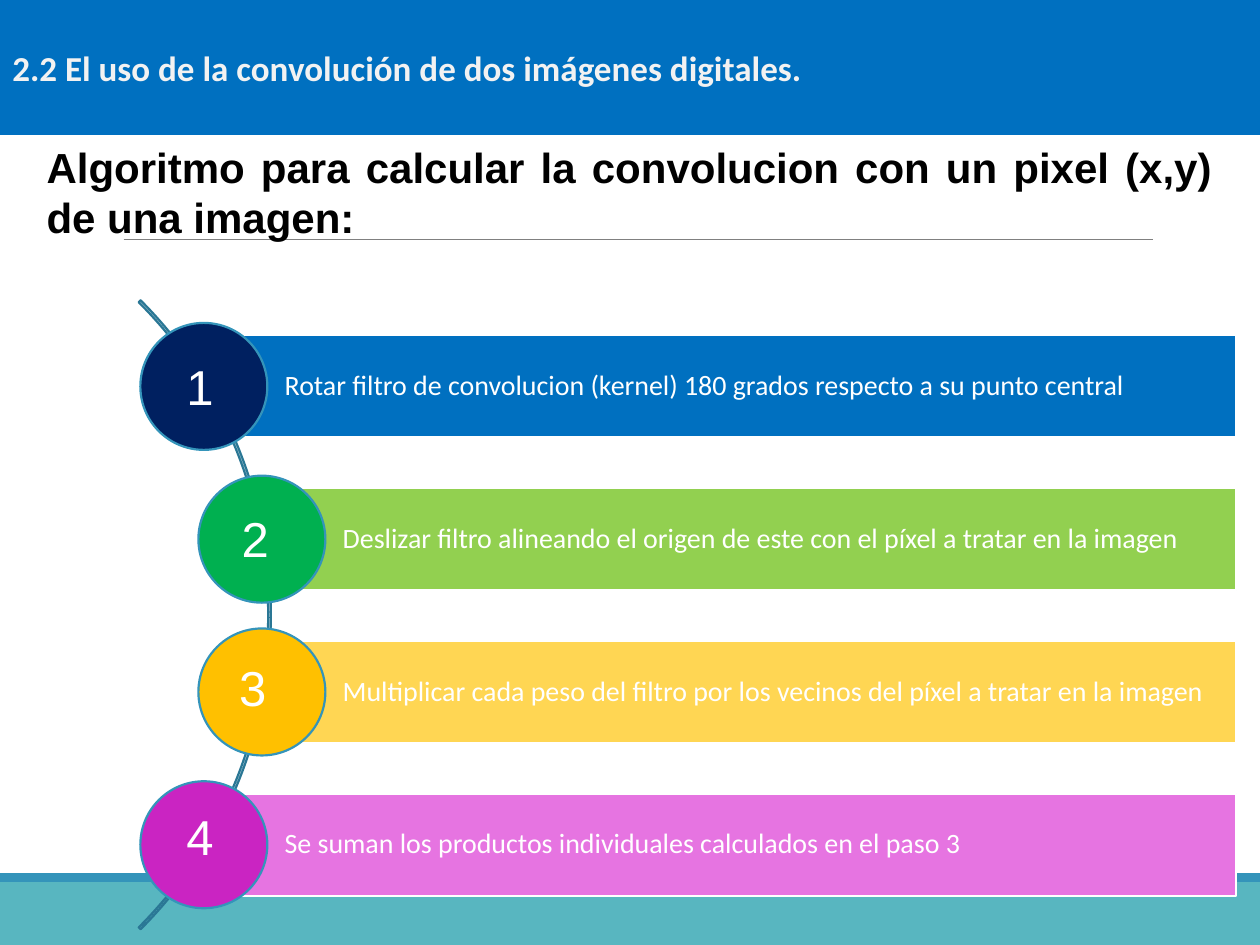
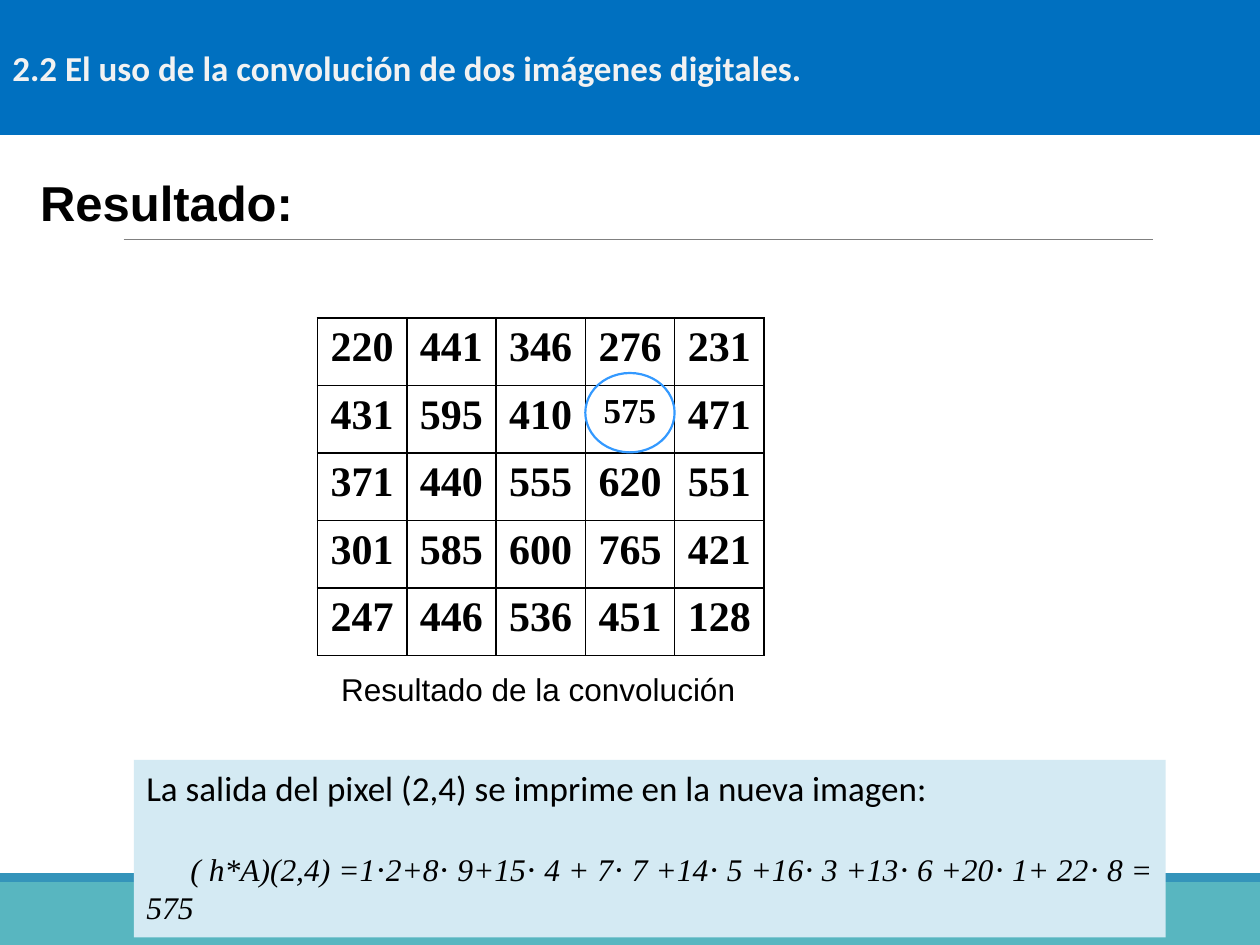
"""Builds two slides about the convolution of digital images."""
import lxml.etree
import pptx
import pptx.dml.color
import pptx.enum.shapes
import pptx.enum.text
import pptx.oxml.ns
import pptx.util

Cm = pptx.util.Cm
Pt = pptx.util.Pt
SHAPES = pptx.enum.shapes.MSO_SHAPE
ALIGN = pptx.enum.text.PP_ALIGN
ANCHOR = pptx.enum.text.MSO_ANCHOR

SECTION = "2.2 El uso de la convolución de dos imágenes digitales."
STEPS_TITLE = "Algoritmo para calcular la convolucion con un pixel (x,y) de una imagen:"
RESULT_TITLE = "Resultado:"
STEPS = [
    {"text": "Rotar filtro de convolucion (kernel) 180 grados respecto a su punto central",
     "bar": "0070C0", "circle": "002060", "centre": 4.11, "number": (3.51, 7.06)},
    {"text": "Deslizar filtro alineando el origen de este con el píxel a tratar en la imagen",
     "bar": "92D050", "circle": "00B050", "centre": 5.28, "number": (4.62, 10.13)},
    {"text": "Multiplicar cada peso del filtro por los vecinos del píxel a tratar en la imagen",
     "bar": "FFD653", "circle": "FFC000", "centre": 5.28, "number": (4.57, 13.13)},
    {"text": "Se suman los productos individuales calculados en el paso 3",
     "bar": "E674E1", "circle": "CA24C2", "centre": 4.11, "number": (3.51, 16.13)},
]
RESULT = [
    [220, 441, 346, 276, 231],
    [431, 595, 410, 575, 471],
    [371, 440, 555, 620, 551],
    [301, 585, 600, 765, 421],
    [247, 446, 536, 451, 128],
]
MARKED = (1, 3)
CAPTION = "Resultado de la convolución"
OUTPUT = "La salida del pixel (2,4) se imprime en la nueva imagen:"
FORMULA = "( h*A)(2,4) =1⋅2+8⋅ 9+15⋅ 4 + 7⋅ 7 +14⋅ 5 +16⋅ 3 +13⋅ 6 +20⋅ 1+ 22⋅ 8 = 575"

WIDTH, HEIGHT = 25.4, 19.05
BAND, FLOOR, STRIPE = "0070C0", "58B6C0", "3494BA"
BLACK, WHITE = "000000", "FFFFFF"
SECTION_FONT = {"name": "Calibri", "size": Pt(20), "bold": True, "color": "F2F2F2"}
STEP_FONT = {"name": "Calibri", "size": Pt(16), "color": WHITE}
NUMBER_FONT = {"name": "Arial", "size": Pt(28), "color": WHITE}
CELL_FONT = {"name": "Times New Roman", "size": Pt(24), "bold": True, "color": BLACK}
CAPTION_FONT = {"name": "Arial", "size": Pt(18), "color": BLACK}
OUTPUT_FONT = {"name": "Calibri", "size": Pt(20), "color": BLACK}
FORMULA_FONT = {"name": "Times New Roman", "size": Pt(18), "italic": True, "color": BLACK}


def rgb(value):
    return pptx.dml.color.RGBColor.from_string(value)


def set_all(target, values):
    for name, value in values.items():
        setattr(target, name, value)


def write(para, text, font, **layout):
    span = para.add_run()
    span.text = text
    set_all(para, layout)
    set_all(span.font, {key: value for key, value in font.items() if key != "color"})
    span.font.color.rgb = rgb(font["color"])


def add_shape(page, kind, place, fill=None, line=None):
    shape = page.shapes.add_shape(kind, *map(Cm, place))
    shape.shadow.inherit = False
    if fill:
        shape.fill.solid()
        shape.fill.fore_color.rgb = rgb(fill)
    else:
        shape.fill.background()
    if line:
        shape.line.color.rgb = rgb(line)
        shape.line.width = Pt(1.25)
    else:
        shape.line.fill.background()
    return shape


def add_text(page, place, text, font, wrap=True, **layout):
    box = page.shapes.add_textbox(*map(Cm, place))
    box.text_frame.word_wrap = wrap
    write(box.text_frame.paragraphs[0], text, font, **layout)


def add_page(deck, title, place, size):
    page = deck.slides.add_slide(deck.slide_layouts[6])
    add_shape(page, SHAPES.RECTANGLE, (0, 17.78, WIDTH, 1.27), FLOOR)
    add_shape(page, SHAPES.RECTANGLE, (0, 17.6, WIDTH, 0.18), STRIPE)
    rule = page.shapes.add_connector(
        pptx.enum.shapes.MSO_CONNECTOR.STRAIGHT, *map(Cm, (2.49, 4.83, 23.24, 4.83)))
    rule.line.color.rgb = rgb("808080")
    rule.line.width = Pt(0.5)
    lxml.etree.SubElement(rule._element.spPr, pptx.oxml.ns.qn("a:effectLst"))
    title_font = {"name": "Arial", "size": Pt(size), "bold": True, "color": BLACK}
    add_text(page, place, title, title_font, alignment=ALIGN.JUSTIFY)
    frame = add_shape(page, SHAPES.RECTANGLE, (0, 0, WIDTH, 2.72), BAND).text_frame
    set_all(frame, {"word_wrap": True, "vertical_anchor": ANCHOR.MIDDLE})
    write(frame.paragraphs[0], SECTION, SECTION_FONT, alignment=ALIGN.LEFT)
    return page


def add_steps(page):
    top, pitch, bar_height, diameter, right = 6.76, 3.08, 2.06, 2.56, 24.92
    arc = add_shape(page, SHAPES.BLOCK_ARC, (-12.47, 3.43, 17.93, 17.93), line="2A7795")
    for index, value in enumerate((189, 27, 0.003)):
        arc.adjustments[index] = value
    for index, step in enumerate(STEPS):
        left, bar_top = step["centre"], top + index * pitch
        bar = add_shape(page, SHAPES.RECTANGLE, (left, bar_top, right - left, bar_height),
                        step["bar"], WHITE)
        set_all(bar.text_frame, {
            "word_wrap": True, "vertical_anchor": ANCHOR.MIDDLE, "margin_left": Cm(1.63),
            "margin_right": Cm(0.1), "margin_top": Cm(0.1), "margin_bottom": Cm(0.1)})
        write(bar.text_frame.paragraphs[0], step["text"], STEP_FONT,
              alignment=ALIGN.JUSTIFY, line_spacing=0.9)
        circle_top = bar_top + (bar_height - diameter) / 2
        add_shape(page, SHAPES.OVAL, (left - diameter / 2, circle_top, diameter, diameter),
                  step["circle"], STRIPE)
    for number, step in enumerate(STEPS, 1):
        add_text(page, (*step["number"], 1.07, 1.45), str(number), NUMBER_FONT,
                 wrap=False, alignment=ALIGN.JUSTIFY)


def add_borders(cell):
    qn = pptx.oxml.ns.qn
    properties = cell._tc.get_or_add_tcPr()
    for side in ("a:lnL", "a:lnR", "a:lnT", "a:lnB"):
        line = lxml.etree.SubElement(properties, qn(side), w=str(Pt(1)))
        fill = lxml.etree.SubElement(line, qn("a:solidFill"))
        lxml.etree.SubElement(fill, qn("a:srgbClr"), val=BLACK)


def add_result(page):
    left, top, column, row_height = 6.4, 6.41, 1.8, 1.36
    rows, columns = len(RESULT), len(RESULT[0])
    table = page.shapes.add_table(
        rows, columns, *map(Cm, (left, top, columns * column, rows * row_height))).table
    for row, values in enumerate(RESULT):
        table.rows[row].height = Cm(row_height)
        for position, value in enumerate(values):
            table.columns[position].width = Cm(column)
            cell = table.cell(row, position)
            add_borders(cell)
            cell.fill.solid()
            cell.fill.fore_color.rgb = rgb(WHITE)
            size = Pt(20 if (row, position) == MARKED else 24)
            write(cell.text_frame.paragraphs[0], str(value), {**CELL_FONT, "size": size},
                  alignment=ALIGN.CENTER)
    add_shape(page, SHAPES.OVAL, (left + MARKED[1] * column, 7.52, column, 1.6), line="3399FF")
    add_text(page, (6.63, 13.39, 8.53, 1.02), CAPTION, CAPTION_FONT, wrap=False)


def add_output(page):
    frame = add_shape(page, SHAPES.RECTANGLE, (2.7, 15.32, 20.8, 3.58), "D4EAF3").text_frame
    set_all(frame, {"word_wrap": True, "vertical_anchor": ANCHOR.TOP})
    write(frame.paragraphs[0], OUTPUT, OUTPUT_FONT, alignment=ALIGN.JUSTIFY)
    formula = frame.add_paragraph()
    formula._p.get_or_add_pPr().set("indent", str(Cm(0.89)))
    write(formula, FORMULA, FORMULA_FONT, alignment=ALIGN.JUSTIFY, space_before=Pt(24))


def main():
    deck = pptx.Presentation()
    set_all(deck, {"slide_width": Cm(WIDTH), "slide_height": Cm(HEIGHT)})
    add_steps(add_page(deck, STEPS_TITLE, (0.69, 2.72, 24, 2.31), 24))
    result_page = add_page(deck, RESULT_TITLE, (0.56, 3.35, 24.31, 2.49), 28)
    add_output(result_page)
    add_result(result_page)
    deck.save("out.pptx")


if __name__ == "__main__":
    main()
